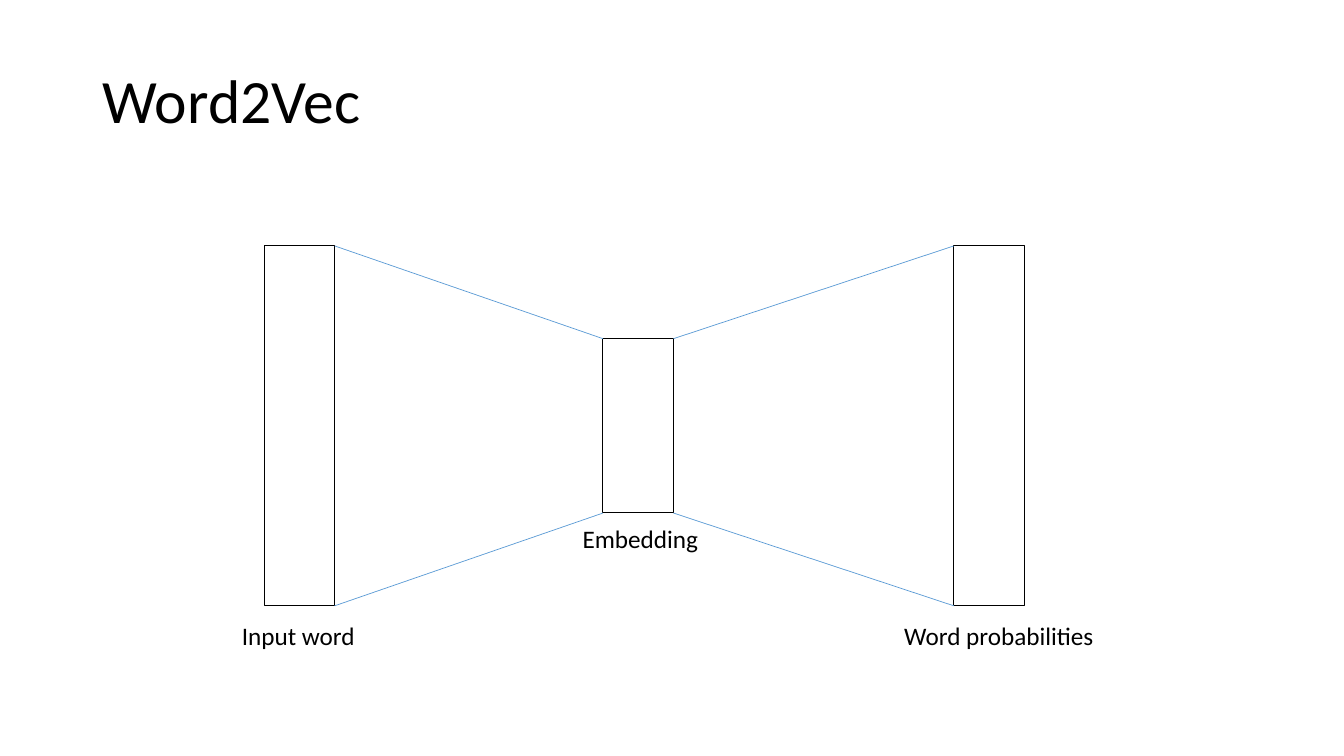
from dataclasses import dataclass

from lxml import etree
from pptx import Presentation
from pptx import util as u
from pptx.dml.color import RGBColor
from pptx.enum import shapes, text
from pptx.oxml.ns import qn


@dataclass(frozen=True)
class Theme:
    font: str = "Calibri"
    ink: str = "000000"
    link: str = "5B9BD5"
    title_size: float = 44
    label_size: float = 18
    outline: float = 0.75
    link_width: float = 0.5


@dataclass(frozen=True)
class Box:
    left: float
    top: float
    width: float
    height: float

    @property
    def right(self):
        return self.left + self.width

    @property
    def bottom(self):
        return self.top + self.height

    def emu(self):
        return [u.Inches(v) for v in (self.left, self.top, self.width, self.height)]


THEME = Theme()
SLIDE = Box(0, 0, 13.33, 7.5)
LAYER_WIDTH = 0.7
LABEL_HEIGHT = 0.4

# Layer name, left and height in the diagram, label: shift from layer, gap, width
LAYERS = [
    ("Input word", 0, 3.57, -0.32, 0.09, 1.34),
    ("Embedding", 3.36, 1.73, -0.3, 0.05, 1.36),
    ("Word probabilities", 6.84, 3.57, -0.59, 0.09, 2.16),
]


def add_text(slide, box, words, *, size, wrap=True, spacing=1.0,
             anchor=text.MSO_ANCHOR.TOP):
    frame = slide.shapes.add_textbox(*box.emu()).text_frame
    frame.word_wrap = wrap
    frame.vertical_anchor = anchor
    paragraph = frame.paragraphs[0]
    paragraph.text = words
    paragraph.line_spacing = spacing
    paragraph.font.name = THEME.font
    paragraph.font.size = u.Pt(size)
    paragraph.font.color.rgb = RGBColor.from_string(THEME.ink)


def add_layer(slide, box):
    layer = slide.shapes.add_shape(shapes.MSO_SHAPE.RECTANGLE, *box.emu())
    layer.shadow.inherit = False
    layer.fill.background()
    layer.line.color.rgb = RGBColor.from_string(THEME.ink)
    layer.line.width = u.Pt(THEME.outline)


def add_link(slide, x1, y1, x2, y2):
    link = slide.shapes.add_connector(
        shapes.MSO_CONNECTOR.STRAIGHT, *[u.Inches(v) for v in (x1, y1, x2, y2)])
    link.line.color.rgb = RGBColor.from_string(THEME.link)
    link.line.width = u.Pt(THEME.link_width)
    etree.SubElement(link._element.spPr, qn("a:effectLst"))


def draw_title(slide, box):
    add_text(slide, box, "Word2Vec", size=THEME.title_size, spacing=0.9,
             anchor=text.MSO_ANCHOR.MIDDLE)


def draw_network(slide, box):
    # Layers share one horizontal axis
    layers = [Box(box.left + left, box.top + (box.height - height) / 2,
                  LAYER_WIDTH, height)
              for _, left, height, *_ in LAYERS]
    for layer in layers:
        add_layer(slide, layer)

    # Corner-to-corner links between neighbours
    for source, target in zip(layers, layers[1:]):
        add_link(slide, source.right, source.top, target.left, target.top)
        add_link(slide, source.right, source.bottom, target.left, target.bottom)

    # Labels under the layers
    for layer, (name, _, _, shift, gap, width) in zip(layers, LAYERS):
        label = Box(layer.left + shift, layer.bottom + gap, width, LABEL_HEIGHT)
        add_text(slide, label, name, size=THEME.label_size, wrap=False)


def main():
    deck = Presentation()
    deck.slide_width = u.Inches(SLIDE.width)
    deck.slide_height = u.Inches(SLIDE.height)
    slide = deck.slides.add_slide(deck.slide_layouts[6])
    draw_title(slide, Box(0.92, 0.3, 11.5, 1.45))
    draw_network(slide, Box(2.62, 2.44, 7.54, 3.57))
    deck.save("out.pptx")


if __name__ == "__main__":
    main()
